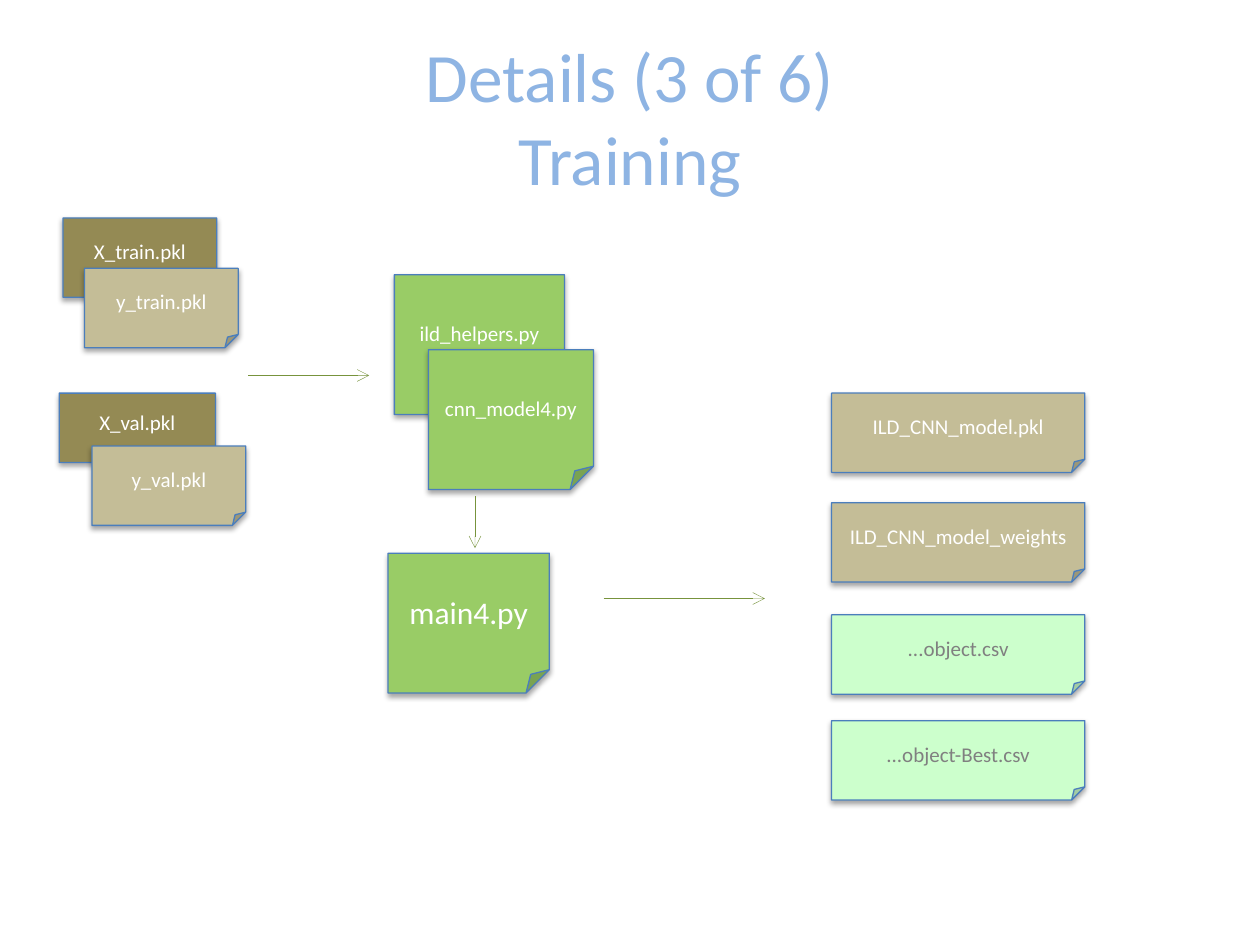
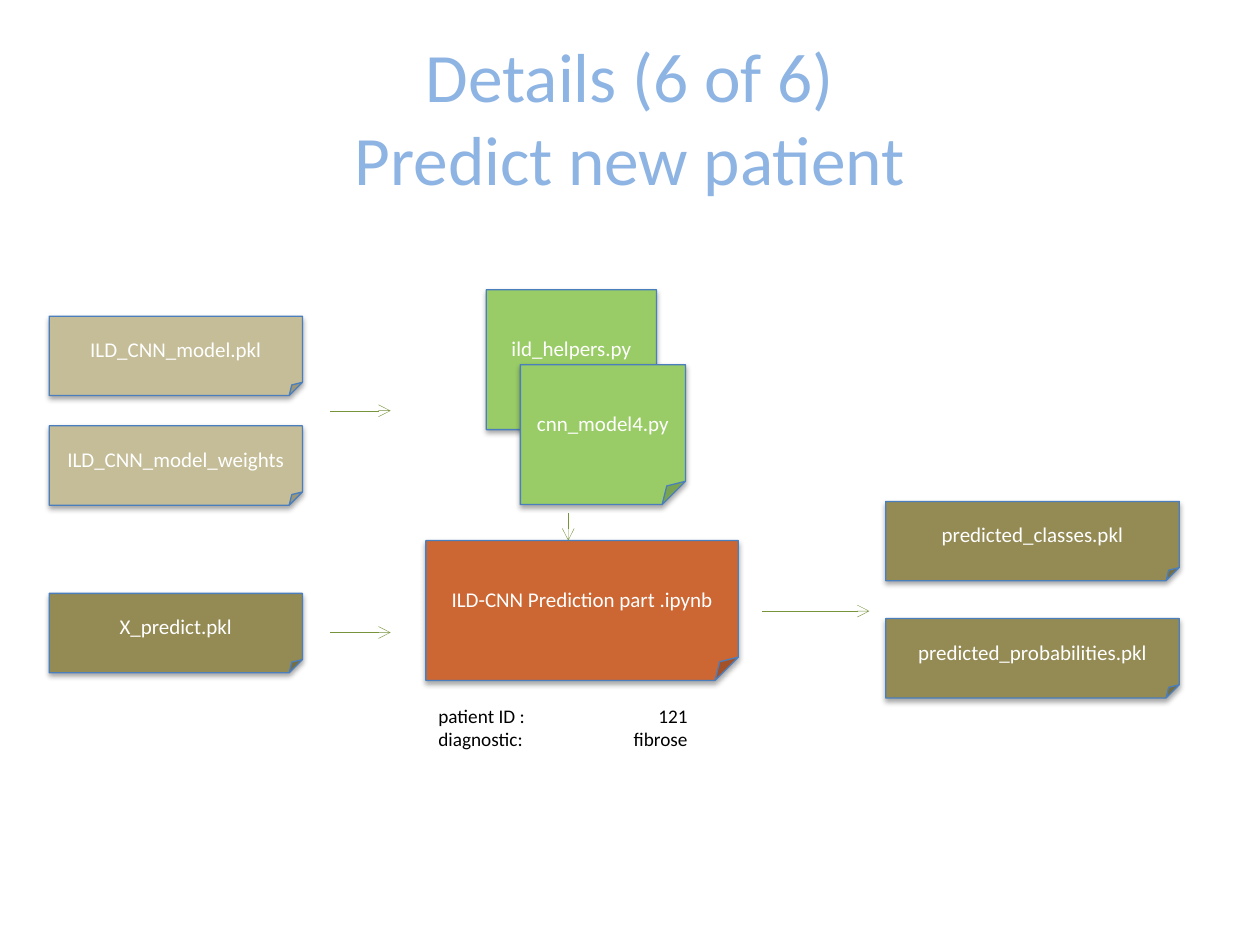
"""Build two pipeline slides: model training and prediction for a new patient."""
from dataclasses import dataclass

from lxml import etree
from pptx import Presentation
from pptx.dml.color import RGBColor
from pptx.enum.shapes import MSO_CONNECTOR, MSO_SHAPE
from pptx.enum.text import MSO_ANCHOR, PP_ALIGN
from pptx.oxml.ns import qn
from pptx.slide import Slide
from pptx.text.text import TextFrame
from pptx.util import Emu, Inches, Pt

FOLDED_CORNER = MSO_SHAPE.FOLDED_CORNER
STRAIGHT = MSO_CONNECTOR.STRAIGHT
MIDDLE, TOP = MSO_ANCHOR.MIDDLE, MSO_ANCHOR.TOP
CENTER, LEFT, RIGHT_TAB = PP_ALIGN.CENTER, PP_ALIGN.LEFT, "r"

SLIDE_WIDTH, SLIDE_HEIGHT = Inches(10), Inches(7.5)
COLUMNS, ROWS = 100, 75
CELL_WIDTH, CELL_HEIGHT = SLIDE_WIDTH / COLUMNS, SLIDE_HEIGHT / ROWS


@dataclass(frozen=True)
class Theme:
    """Colours, font and sizes shared by the slides."""
    font: str = "Calibri"
    title: str = "8EB4E3"
    text: str = "000000"
    light_text: str = "FFFFFF"
    grey_text: str = "808080"
    outline: str = "4B7EBC"
    arrow: str = "77933C"
    code: str = "99CC66"
    notebook: str = "CC6633"
    data: str = "948A54"
    labels: str = "C4BD97"
    report: str = "CCFFCC"
    title_size: float = 39.6
    main_size: float = 18
    file_size: float = 12
    caption_size: float = 11
    outline_width: float = 0.75
    arrow_width: float = 0.25


THEME = Theme()


@dataclass(frozen=True)
class Box:
    """An area in grid columns and rows."""
    column: float
    row: float
    columns: float
    rows: float

    def lengths(self) -> tuple[Emu, Emu, Emu, Emu]:
        """Return left, top, width and height."""
        return (across(self.column), down(self.row),
                across(self.columns), down(self.rows))


@dataclass(frozen=True)
class File:
    """A file drawn as a sheet with a folded corner."""
    name: str
    box: Box
    fill: str
    color: str = THEME.light_text
    size: float = THEME.file_size


@dataclass(frozen=True)
class Arrow:
    """An arrow starting at a grid point, running right or down."""
    column: float
    row: float
    columns: float = 0
    rows: float = 0


def across(columns: float) -> Emu:
    """Convert grid columns to a length."""
    return Emu(round(columns * CELL_WIDTH))


def down(rows: float) -> Emu:
    """Convert grid rows to a length."""
    return Emu(round(rows * CELL_HEIGHT))


def style_text(text_frame: TextFrame, size: float, color: str,
               alignment: PP_ALIGN, anchor: MSO_ANCHOR) -> None:
    """Format all text in a frame alike."""
    text_frame.word_wrap = True
    text_frame.vertical_anchor = anchor
    for paragraph in text_frame.paragraphs:
        paragraph.alignment = alignment
        for run in paragraph.runs:
            run.font.name = THEME.font
            run.font.size = Pt(size)
            run.font.color.rgb = RGBColor.from_string(color)


def add_title(slide: Slide, heading: str, topic: str) -> None:
    """Add the two-line slide title."""
    text_frame = slide.shapes.add_textbox(*Box(5, 3, 90, 12.5).lengths()).text_frame
    text_frame.paragraphs[0].text = f"{heading}\v{topic}"
    style_text(text_frame, THEME.title_size, THEME.title, CENTER, MIDDLE)


def add_file(slide: Slide, file: File) -> None:
    """Draw a file sheet with its name and a soft shadow below."""
    shape = slide.shapes.add_shape(FOLDED_CORNER, *file.box.lengths())
    shape.fill.solid()
    shape.fill.fore_color.rgb = RGBColor.from_string(file.fill)
    shape.line.color.rgb = RGBColor.from_string(THEME.outline)
    shape.line.width = Pt(THEME.outline_width)
    shape.shadow.inherit = False
    effects = shape.element.spPr.find(qn("a:effectLst"))
    shadow = etree.SubElement(effects, qn("a:outerShdw"), blurRad=str(Pt(3.1)),
                              dist=str(Pt(1.8)), dir="5400000", rotWithShape="0")
    color = etree.SubElement(shadow, qn("a:srgbClr"), val="000000")
    etree.SubElement(color, qn("a:alpha"), val="35000")
    shape.text_frame.text = file.name
    style_text(shape.text_frame, file.size, file.color, CENTER, MIDDLE)


def add_arrow(slide: Slide, arrow: Arrow) -> None:
    """Draw a thin line with an open arrowhead at its end."""
    connector = slide.shapes.add_connector(
        STRAIGHT, across(arrow.column), down(arrow.row),
        across(arrow.column + arrow.columns), down(arrow.row + arrow.rows))
    connector.line.color.rgb = RGBColor.from_string(THEME.arrow)
    connector.line.width = Pt(THEME.arrow_width)
    properties = connector.element.spPr
    etree.SubElement(properties.find(qn("a:ln")), qn("a:tailEnd"), type="arrow")
    etree.SubElement(properties, qn("a:effectLst"))


def add_caption(slide: Slide, box: Box, entries: dict[str, str]) -> None:
    """Write label and value lines, with values aligned at a right tab."""
    text_frame = slide.shapes.add_textbox(*box.lengths()).text_frame
    text_frame.text = "\n".join(f"{label}\t{value}" for label, value in entries.items())
    style_text(text_frame, THEME.caption_size, THEME.text, LEFT, TOP)
    for paragraph in text_frame.paragraphs:
        tabs = etree.SubElement(paragraph._p.get_or_add_pPr(), qn("a:tabLst"))
        etree.SubElement(tabs, qn("a:tab"), pos=str(across(19.8)), algn=RIGHT_TAB)


def code_files(column: float, row: float) -> list[File]:
    """Return the overlapping helper and model scripts."""
    return [File("ild_helpers.py", Box(column, row, 13.5, 11.1), THEME.code),
            File("cnn_model4.py", Box(column + 2.7, row + 5.95, 13.1, 11.1), THEME.code)]


def model_files(column: float, row: float) -> list[File]:
    """Return the stored model with its weights below."""
    names = ("ILD_CNN_model.pkl", "ILD_CNN_model_weights")
    return [File(name, Box(column, row + 8.7 * index, 20.1, 6.3), THEME.labels)
            for index, name in enumerate(names)]


def add_pipeline(presentation: Presentation, heading: str, topic: str,
                 files: list[File], arrows: list[Arrow]) -> Slide:
    """Add a slide with a title, files and arrows."""
    slide = presentation.slides.add_slide(presentation.slide_layouts[6])
    add_title(slide, heading, topic)
    for file in files:
        add_file(slide, file)
    for arrow in arrows:
        add_arrow(slide, arrow)
    return slide


def add_training(presentation: Presentation) -> None:
    """Add the training slide."""
    files = [
        File("main4.py", Box(30.8, 43.9, 12.8, 11.1), THEME.code, size=THEME.main_size),
        *code_files(31.3, 21.8),
        File("X_train.pkl", Box(5, 17.3, 12.2, 6.3), THEME.data),
        File("y_train.pkl", Box(6.7, 21.3, 12.2, 6.3), THEME.labels),
        File("X_val.pkl", Box(4.7, 31.2, 12.4, 5.5), THEME.data),
        File("y_val.pkl", Box(7.3, 35.4, 12.2, 6.3), THEME.labels),
        *model_files(66, 31.2),
        File("...object.csv", Box(66, 48.8, 20.1, 6.3), THEME.report, THEME.grey_text),
        File("...object-Best.csv", Box(66, 57.2, 20.1, 6.3), THEME.report,
             THEME.grey_text),
    ]
    arrows = [Arrow(19.7, 29.8, columns=9.6), Arrow(37.7, 39.4, rows=4.1),
              Arrow(47.9, 47.5, columns=12.8)]
    add_pipeline(presentation, "Details (3 of 6)", "Training", files, arrows)


def add_prediction(presentation: Presentation) -> None:
    """Add the slide on predicting for a new patient."""
    files = [
        File("ILD-CNN Prediction part .ipynb", Box(33.8, 42.9, 24.8, 11.1),
             THEME.notebook),
        *code_files(38.6, 23),
        *model_files(3.9, 25.1),
        File("X_predict.pkl", Box(3.9, 47.1, 20.1, 6.3), THEME.data),
        File("predicted_classes.pkl", Box(70.3, 39.8, 23.3, 6.3), THEME.data),
        File("predicted_probabilities.pkl", Box(70.3, 49.1, 23.3, 6.3), THEME.data),
    ]
    arrows = [Arrow(26.2, 32.6, columns=4.8), Arrow(26.2, 50.2, columns=4.8),
              Arrow(45.1, 40.7, rows=2.2), Arrow(60.5, 48.5, columns=8.5)]
    slide = add_pipeline(presentation, "Details (6 of 6)", "Predict new patient",
                         files, arrows)
    add_caption(slide, Box(33.8, 55.4, 22.2, 4.7),
                {"patient ID :": "121", "diagnostic:": "fibrose"})


def main() -> None:
    """Build and save the presentation."""
    presentation = Presentation()
    presentation.slide_width, presentation.slide_height = SLIDE_WIDTH, SLIDE_HEIGHT
    add_training(presentation)
    add_prediction(presentation)
    presentation.save("out.pptx")


main()
